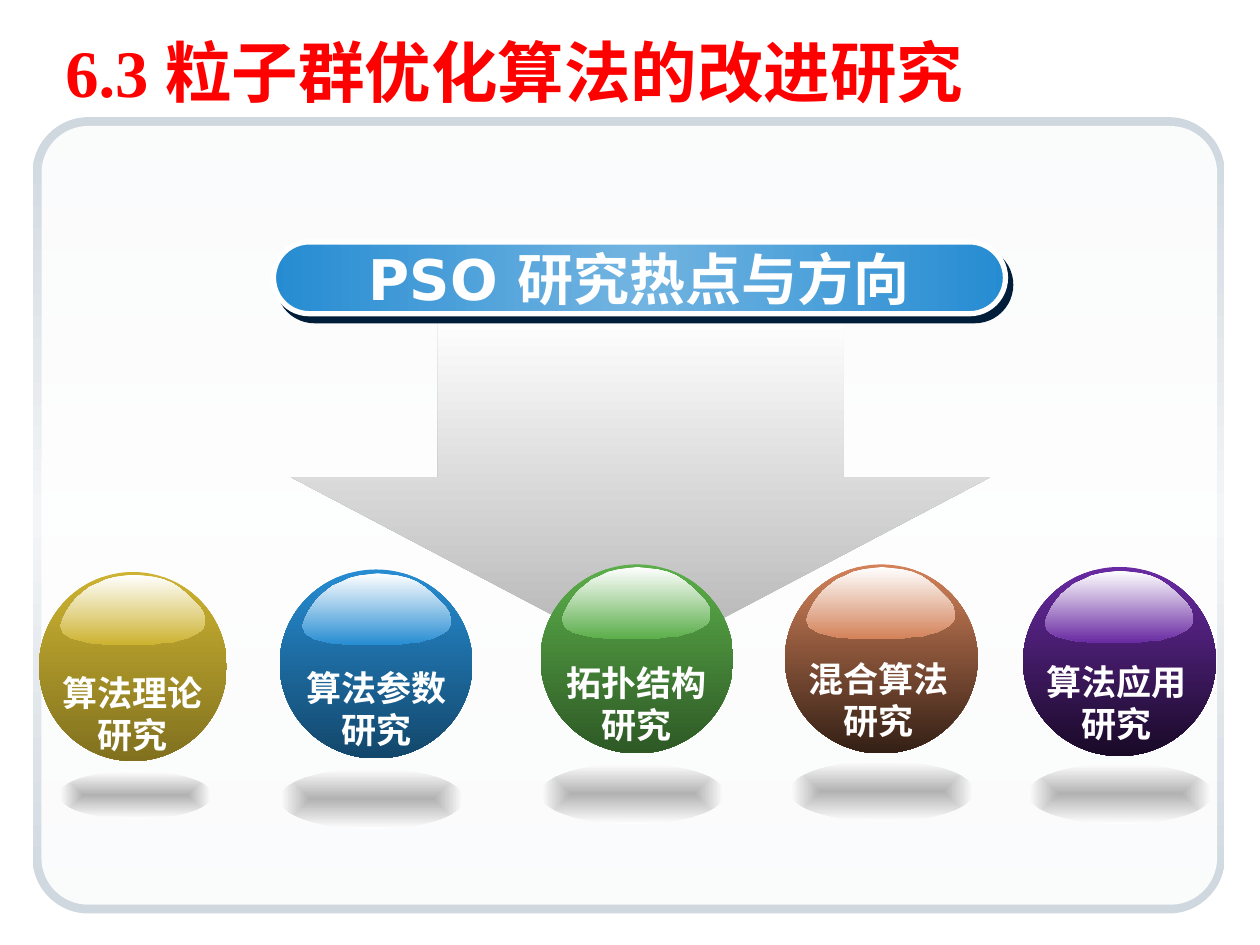
from lxml import etree
from pptx import Presentation
from pptx.dml.color import RGBColor
from pptx.enum import shapes, text
from pptx.oxml import ns
from pptx.util import Inches, Pt

HUES = {
    "white": "FFFFFF", "red": "FF0000", "navy": "001D3A",
    "edge": "CFD7DF", "haze": "F3F5F7", "gray": "B2B2B2", "pale": "FEFEFE",
    "sky": "72B4E1", "gold": "CDB331", "olive": "81711F",
    "rust": "D38259", "brown": "331F15", "blue": "268CD2", "deep": "13476B",
    "green": "5BAE4A", "moss": "2E5925", "plum": "692AA2", "night": "190A27",
}


def shade(shape, *names, angle=None, turn="1"):
    shape.shadow.inherit = False
    shape.line.fill.background()
    shape.fill.gradient()
    grad = shape._element.spPr.find(ns.qn("a:gradFill"))
    for child in list(grad):
        grad.remove(child)
    grad.set("rotWithShape", turn)
    stops = etree.SubElement(grad, ns.qn("a:gsLst"))
    for i, name in enumerate(names):
        stop = etree.SubElement(stops, ns.qn("a:gs"), pos=str(100000 * i // (len(names) - 1)))
        etree.SubElement(stop, ns.qn("a:srgbClr"), val=HUES[name])
    if angle is None:
        track = etree.SubElement(grad, ns.qn("a:path"), path="rect")
        etree.SubElement(track, ns.qn("a:fillToRect"), l="50000", t="50000", r="50000", b="50000")
    else:
        etree.SubElement(grad, ns.qn("a:lin"), ang=str(angle * 60000), scaled="0")


def write(shape, words, size=20, font="Arial", hue="white", align="CENTER",
          anchor="TOP", wrap=True, grow=False):
    frame = shape.text_frame
    frame.word_wrap = wrap
    frame.vertical_anchor = text.MSO_ANCHOR[anchor]
    if grow:
        frame.auto_size = text.MSO_AUTO_SIZE.SHAPE_TO_FIT_TEXT
    for i, line in enumerate(words.split("\n")):
        para = frame.add_paragraph() if i else frame.paragraphs[0]
        para.alignment = text.PP_ALIGN[align]
        run = para.add_run()
        run.text = line
        run.font.name = font
        run.font.size = Pt(size)
        run.font.bold = True
        run.font.color.rgb = RGBColor.from_string(HUES[hue])


deck = Presentation()
deck.slide_width, deck.slide_height = Inches(10), Inches(7.5)
slide = deck.slides.add_slide(deck.slide_layouts[6])
KIND = shapes.MSO_SHAPE

frame = slide.shapes.add_shape(KIND.ROUNDED_RECTANGLE, Inches(0.26), Inches(0.93), Inches(9.46), Inches(6.32))
frame.adjustments[0] = 0.07
shade(frame, "edge", "haze", "edge", angle=90)

panel = slide.shapes.add_shape(KIND.ROUNDED_RECTANGLE, Inches(0.33), Inches(1), Inches(9.33), Inches(6.18))
panel.adjustments[0] = 0.06
panel.shadow.inherit = False
panel.line.fill.background()
panel.fill.solid()
panel.fill.fore_color.rgb = RGBColor.from_string(HUES["white"])
tint = panel._element.spPr.find(ns.qn("a:solidFill"))[0]
etree.SubElement(tint, ns.qn("a:alpha"), val="90000")

title = slide.shapes.add_textbox(Inches(0.42), Inches(0.25), Inches(9.33), Inches(0.62))
write(title, "6.3 粒子群优化算法的改进研究", size=38, font="Times New Roman",
      hue="red", align="LEFT", anchor="MIDDLE")

arrow = slide.shapes.add_shape(KIND.UP_ARROW, Inches(2.31), Inches(2.54), Inches(5.55), Inches(2.71))
arrow.rotation = 180
arrow.adjustments[0], arrow.adjustments[1] = 0.58, 0.54
shade(arrow, "gray", "pale", angle=270, turn="0")

pill = slide.shapes.add_shape(KIND.ROUNDED_RECTANGLE, Inches(2.17), Inches(1.92), Inches(5.81), Inches(0.57))
pill.adjustments[0] = 0.5
shade(pill, "blue", "sky", "blue", angle=180)
pill.line.color.rgb = RGBColor.from_string(HUES["white"])
pill.line.width = Pt(3)
glow = pill._element.spPr.find(ns.qn("a:effectLst"))
drop = etree.SubElement(glow, ns.qn("a:outerShdw"), blurRad="0", dist=str(Pt(5)),
                        dir=str(53 * 60000), algn="ctr", rotWithShape="0")
etree.SubElement(drop, ns.qn("a:srgbClr"), val=HUES["navy"])
write(pill, "PSO 研究热点与方向", size=32, font="DejaVu Sans", anchor="MIDDLE", wrap=False)

GLOSS = [
    (117, 32), (118, 35), (118, 41), (116, 44), (114, 46), (111, 48), (107, 50), (103, 52),
    (98, 53), (92, 55), (87, 55), (80, 56), (74, 57), (43, 57), (37, 57), (31, 56),
    (26, 56), (21, 55), (17, 54), (13, 53), (9, 52), (6, 50), (4, 49), (2, 47),
    (1, 44), (0, 42), (1, 39), (2, 36), (5, 30), (9, 24), (13, 19), (19, 14),
    (24, 10), (31, 7), (37, 4), (45, 2), (52, 1), (60, 0), (68, 1), (76, 2),
    (84, 4), (91, 7), (97, 11), (103, 16), (108, 21), (113, 26),
]
BALLS = [
    ("算法理论\n研究", "gold", "olive", (0.31, 4.54, 1.49), (0.48, 4.56, 1.15),
     (0.4, 5.28, 1.31), (0.47, 6.12, 1.21, 0.38)),
    ("混合算法\n研究", "rust", "brown", (6.23, 4.48, 1.53), (6.4, 4.5, 1.18),
     (6.32, 5.17, 1.31), (6.27, 6.04, 1.46, 0.48)),
    ("算法参数研究", "blue", "deep", (2.22, 4.52, 1.53), (2.4, 4.55, 1.18),
     (2.3, 5.24, 1.38), (2.22, 6.1, 1.46, 0.48)),
    ("拓扑结构研究", "green", "moss", (4.29, 4.48, 1.53), (4.46, 4.5, 1.18),
     (4.36, 5.2, 1.38), (4.29, 6.06, 1.46, 0.48)),
    ("算法应用\n研究", "plum", "night", (8.12, 4.5, 1.53), (8.29, 4.53, 1.18),
     (8.21, 5.19, 1.31), (8.16, 6.06, 1.46, 0.48)),
]
for words, light, dark, orb, shine, label, base in BALLS:
    group = slide.shapes.add_group_shape().shapes
    ball = group.add_shape(KIND.OVAL, *map(Inches, orb), Inches(1.5))
    shade(ball, light, dark, angle=90)

    left, top, width = map(Inches, shine)
    pen = group.build_freeform(*GLOSS[0], scale=width / 118)
    pen.add_line_segments(GLOSS[1:], close=True)
    shade(pen.convert_to_shape(left, top), "white", light, angle=90)

    box = group.add_textbox(*map(Inches, label), Inches(0.77))
    write(box, words, wrap="\n" not in words, grow=True)

    floor = group.add_shape(KIND.OVAL, *map(Inches, base))
    shade(floor, "gray", "pale")

deck.save("out.pptx")
